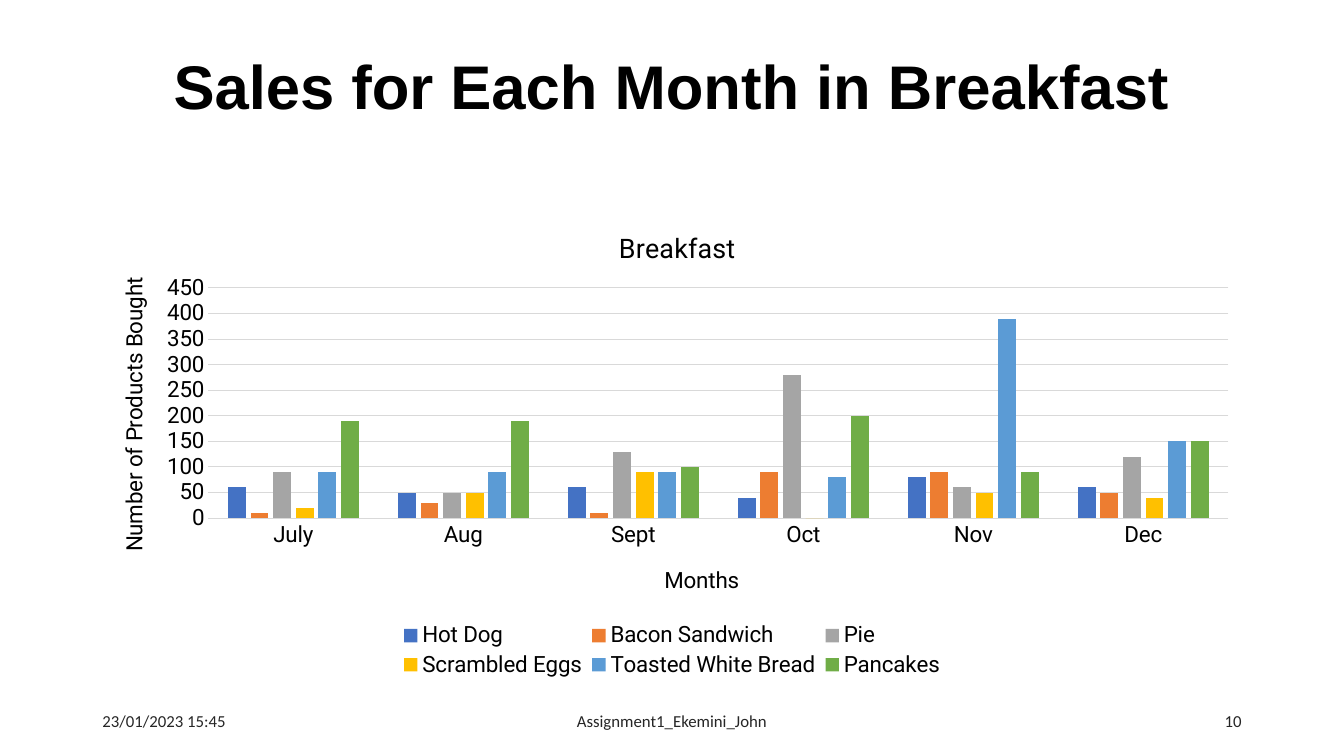
from lxml import etree
from pptx import Presentation
from pptx.chart.data import CategoryChartData
from pptx.dml.color import RGBColor
from pptx.enum.chart import XL_CHART_TYPE, XL_LEGEND_POSITION, XL_TICK_MARK
from pptx.enum.text import MSO_ANCHOR, MSO_AUTO_SIZE, PP_ALIGN
from pptx.oxml.ns import qn
from pptx.util import Cm, Pt

MONTHS = ["July", "Aug", "Sept", "Oct", "Nov", "Dec"]
PRODUCTS = [
    ("Hot Dog", "4472C4", [60, 50, 60, 40, 80, 60]),
    ("Bacon Sandwich", "ED7D31", [10, 30, 10, 90, 90, 50]),
    ("Pie", "A5A5A5", [90, 50, 130, 280, 60, 120]),
    ("Scrambled Eggs", "FFC000", [20, 50, 90, 0, 50, 40]),
    ("Toasted White Bread", "5B9BD5", [90, 90, 90, 80, 390, 150]),
    ("Pancakes", "70AD47", [190, 190, 100, 200, 90, 150]),
]
LEFT, WIDTH = Cm(2.33), Cm(29.21)


def style(font, name, size, color, bold=False):
    font.name, font.size, font.bold = name, Pt(size), bold
    font.color.rgb = RGBColor.from_string(color)


def place(element, index, **settings):
    """Give a chart part a manual layout, as fractions of the chart area."""
    for old in element.findall(qn("c:layout")):
        element.remove(old)
    layout = etree.Element(qn("c:layout"))
    manual = etree.SubElement(layout, qn("c:manualLayout"))
    for tag, value in settings.items():
        etree.SubElement(manual, qn(f"c:{tag}")).set("val", str(value))
    element.insert(index, layout)


deck = Presentation()
deck.slide_width, deck.slide_height = Cm(33.87), Cm(19.05)
page = deck.slides.add_slide(deck.slide_layouts[5])

# Title
title = page.shapes.title
title.left, title.top, title.width, title.height = LEFT, Cm(1.02), WIDTH, Cm(2.46)
frame = title.text_frame
frame.text = "Sales for Each Month in Breakfast"
frame.auto_size = MSO_AUTO_SIZE.NONE
frame.vertical_anchor = MSO_ANCHOR.MIDDLE
para = frame.paragraphs[0]
para.alignment, para.line_spacing = PP_ALIGN.CENTER, 0.9
style(para.runs[0].font, "Arial", 44, "000000", bold=True)

# Footer
for text, left, width, align in [
    ("23/01/2023 15:45", 2.33, 7.62, PP_ALIGN.LEFT),
    ("Assignment1_Ekemini_John", 11.22, 11.43, PP_ALIGN.CENTER),
    ("10", 23.92, 7.62, PP_ALIGN.RIGHT),
]:
    box = page.shapes.add_textbox(Cm(left), Cm(17.66), Cm(width), Cm(1.01))
    frame = box.text_frame
    frame.word_wrap = True
    frame.vertical_anchor = MSO_ANCHOR.MIDDLE
    para = frame.paragraphs[0]
    para.alignment = align
    span = para.add_run()
    span.text = text
    style(span.font, "Calibri", 12, "262626")

# Chart
data = CategoryChartData()
data.categories = MONTHS
for name, color, values in PRODUCTS:
    data.add_series(name, values)
chart = page.shapes.add_chart(
    XL_CHART_TYPE.COLUMN_CLUSTERED, LEFT, Cm(5.08), WIDTH, Cm(12.09), data
).chart
style(chart.font, "Roboto", 16, "000000")
plot = chart.plots[0]
plot.gap_width, plot.overlap, plot.vary_by_categories = 219, -27, False
for series, (name, color, values) in zip(plot.series, PRODUCTS):
    series.format.fill.solid()
    series.format.fill.fore_color.rgb = RGBColor.from_string(color)
    series.invert_if_negative = False

# Axes and gridlines
months, amounts = chart.category_axis, chart.value_axis
for axis in (months, amounts):
    axis.major_tick_mark = axis.minor_tick_mark = XL_TICK_MARK.NONE
amounts.minimum_scale, amounts.maximum_scale, amounts.major_unit = 0, 450, 50
amounts.has_major_gridlines = True
amounts.format.line.fill.background()
for line in (months.format.line, amounts.major_gridlines.format.line):
    line.color.rgb = RGBColor.from_string("D9D9D9")
    line.width = Pt(0.75)

# Chart and axis titles
for heading, text, size, x, y in [
    (chart.chart_title, "Breakfast", 19.2, 0.45, 0.05),
    (months.axis_title, "Months", 16, 0.49, 0.75),
    (amounts.axis_title, "Number of Products Bought", 16, 0.02, 0.15),
]:
    heading.text_frame.text = text
    style(heading.text_frame.paragraphs[0].runs[0].font, "Roboto", size, "000000")
    place(heading.element, 1, xMode="edge", yMode="edge", x=x, y=y)
turned = amounts.axis_title.element.find(".//" + qn("a:bodyPr"))
turned.set("rot", "-5400000")
turned.set("vert", "horz")

# Legend and plot area
chart.has_legend = True
legend = chart.legend
legend.position = XL_LEGEND_POSITION.BOTTOM
legend.include_in_layout = False
style(legend.font, "Roboto", 16, "000000")
edges = {"xMode": "edge", "yMode": "edge"}
place(legend.font and legend._element, 1, **edges, x=0.26, y=0.87, w=0.48, h=0.13)
plot_area = chart.element.find(".//" + qn("c:plotArea")) if hasattr(chart, "element") else None
if plot_area is None:
    plot_area = chart._chartSpace.find(".//" + qn("c:plotArea"))
place(plot_area, 0, layoutTarget="inner", **edges, x=0.1, y=0.18, w=0.88, h=0.48)

deck.save("out.pptx")
